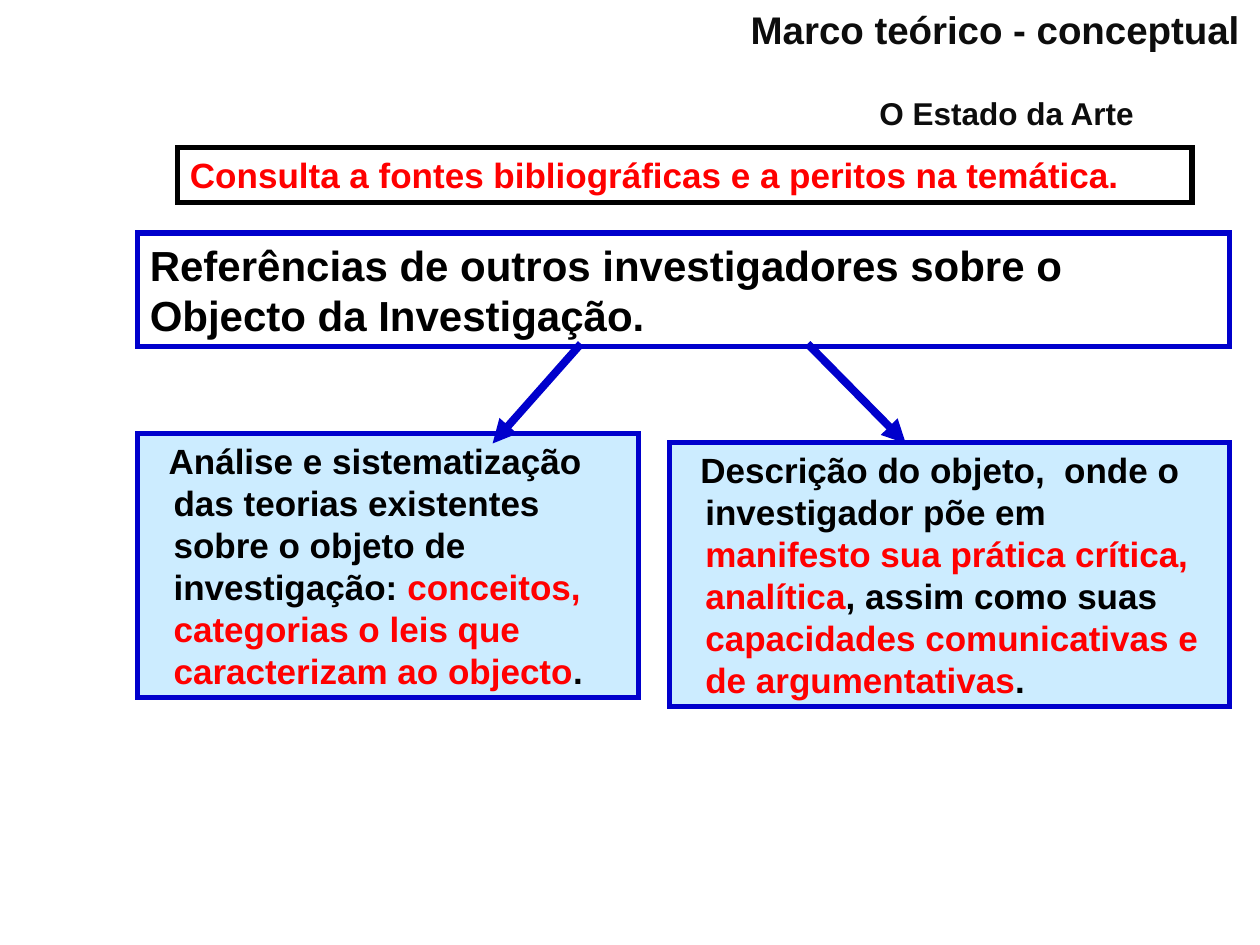
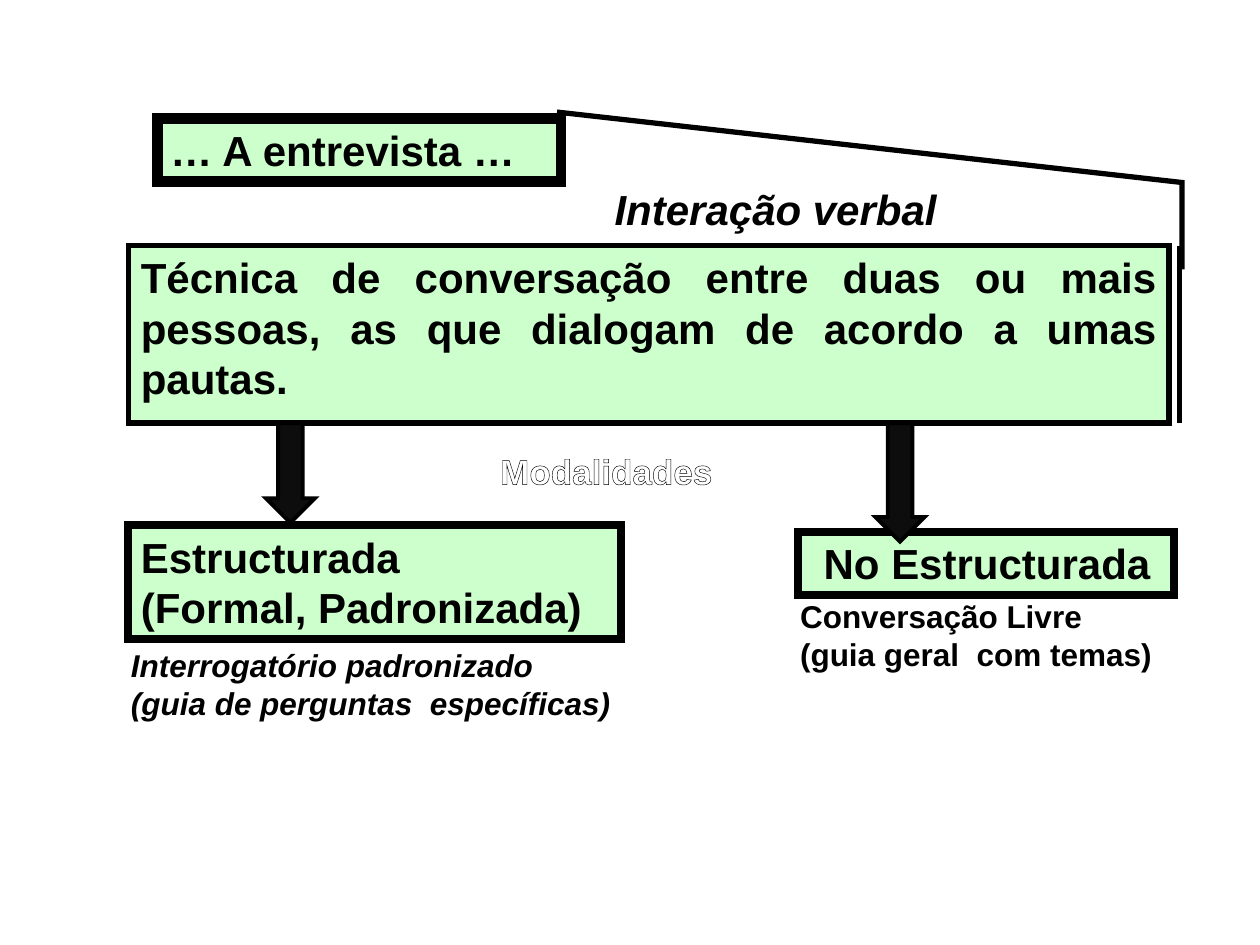
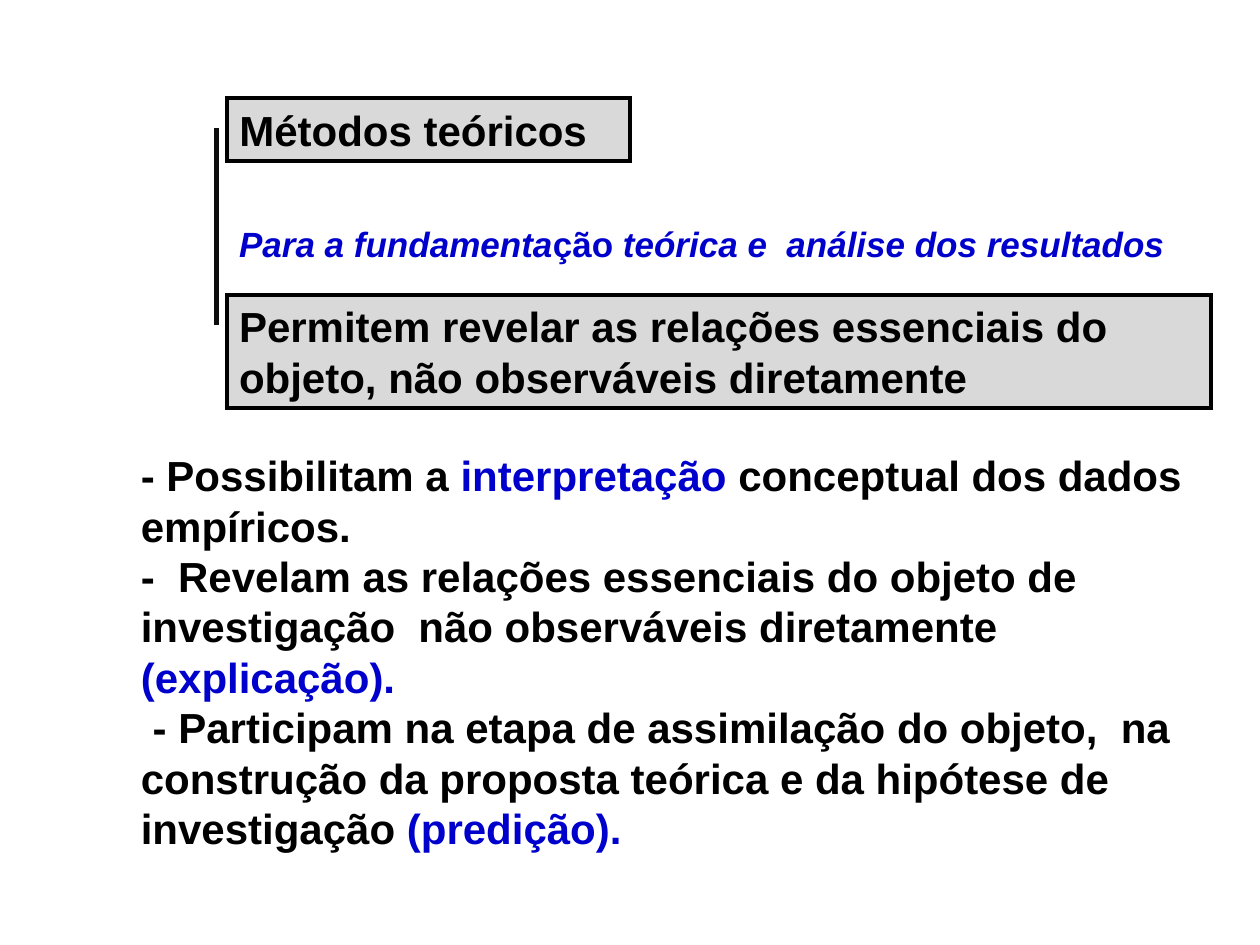
from dataclasses import dataclass
from typing import NamedTuple, Optional, Union

from lxml.etree import SubElement
from pptx import Presentation
from pptx.dml.color import RGBColor
from pptx.enum.shapes import MSO_CONNECTOR as Connector, MSO_SHAPE as Preset
from pptx.enum.text import MSO_ANCHOR as Anchor, MSO_AUTO_SIZE as AutoSize, PP_ALIGN as Align
from pptx.oxml import parse_xml
from pptx.oxml.ns import nsdecls, qn
from pptx.util import Cm, Pt

FONT = "Arial"
BLACK, INK, WHITE, RED, BLUE = "000000", "0D0D0D", "FFFFFF", "FF0000", "0000CC"
SKY, MINT, GREY = "CCECFF", "CCFFCC", "D9D9D9"
TITLE_ONLY = 5


class Frame(NamedTuple):
    """Left, top, width and height in centimetres."""
    left: float
    top: float
    width: float
    height: float


class Span(NamedTuple):
    text: str
    color: Optional[str] = None
    italic: Optional[bool] = None


@dataclass
class Para:
    spans: list[Span]
    margin: float = 0
    indent: float = 0


class Border(NamedTuple):
    color: str
    width: float


Content = Union[str, list[Para]]


def rgb(color: str) -> RGBColor:
    return RGBColor.from_string(color)


def plain(*lines: str) -> list[Para]:
    return [Para([Span(line)]) for line in lines]


def write_text(shape, content: Content, *, size: float = 24, color: str = BLACK,
               italic: bool = False, align: Align = Align.LEFT, wrap: bool = True,
               grow: bool = True, right_inset: float = 0.25, outline: str = "") -> None:
    """Fill a shape with bold text; spans may override colour and italics."""
    frame = shape.text_frame
    frame.word_wrap = wrap
    frame.auto_size = AutoSize.SHAPE_TO_FIT_TEXT if grow else AutoSize.NONE
    frame.vertical_anchor = Anchor.TOP
    frame.margin_right = Cm(right_inset)
    paras = plain(content) if isinstance(content, str) else content
    for number, item in enumerate(paras):
        para = frame.add_paragraph() if number else frame.paragraphs[0]
        para.alignment = align
        if item.margin or item.indent:
            properties = para._p.get_or_add_pPr()
            properties.set("marL", str(Cm(item.margin)))
            properties.set("indent", str(Cm(item.indent)))
        for piece in item.spans:
            span = para.add_run()
            span.text = piece.text
            font = span.font
            font.name, font.size, font.bold = FONT, Pt(size), True
            font.italic = italic if piece.italic is None else piece.italic
            font.color.rgb = rgb(piece.color or color)
            if outline:
                span._r.get_or_add_rPr().insert(0, parse_xml(
                    f'<a:ln {nsdecls("a")} w="{Pt(0.75)}"><a:solidFill>'
                    f'<a:srgbClr val="{outline}"/></a:solidFill></a:ln>'))


def paint(shape, fill: Optional[str], border: Optional[Border]) -> None:
    """Set the fill and a border with sharp corners."""
    if fill:
        shape.fill.solid()
        shape.fill.fore_color.rgb = rgb(fill)
    else:
        shape.fill.background()
    if border:
        shape.line.color.rgb = rgb(border.color)
        shape.line.width = Pt(border.width)
        SubElement(shape.line._get_or_add_ln(), qn("a:miter"), lim="800000")
    else:
        shape.line.fill.background()


def add_preset(page, preset: Preset, frame: Frame, fill: Optional[str], border: Border):
    shape = page.shapes.add_shape(preset, *map(Cm, frame))
    shape.shadow.inherit = False
    paint(shape, fill, border)
    return shape


def add_box(page, frame: Frame, content: Content, border: Border,
            fill: Optional[str] = None, **text_format) -> None:
    box = add_preset(page, Preset.RECTANGLE, frame, fill, border)
    write_text(box, content, **text_format)


def add_label(page, frame: Frame, content: Content, **text_format) -> None:
    write_text(page.shapes.add_textbox(*map(Cm, frame)), content, **text_format)


def add_line(page, start: tuple[float, float], end: tuple[float, float],
             border: Border, arrow: bool = False) -> None:
    line = page.shapes.add_connector(Connector.STRAIGHT, *map(Cm, (*start, *end)))
    line.line.color.rgb = rgb(border.color)
    line.line.width = Pt(border.width)
    if arrow:
        SubElement(line.line._get_or_add_ln(), qn("a:tailEnd"), type="triangle")
    SubElement(line._element.spPr, qn("a:effectLst"))


def add_page(deck, frame: Frame, title: str, fill: Optional[str] = None,
             border: Optional[Border] = None, **text_format):
    """Add a slide whose title placeholder takes the given place and look."""
    page = deck.slides.add_slide(deck.slide_layouts[TITLE_ONLY])
    heading = page.shapes.title
    heading.left, heading.top, heading.width, heading.height = map(Cm, frame)
    paint(heading, fill, border)
    write_text(heading, title, grow=False, **text_format)
    return page


def build_framework(deck) -> None:
    page = add_page(deck, Frame(14.88, 0, 10.52, 1.19), "Marco teórico - conceptual",
                    size=22, color=INK)
    edge = Border(BLUE, 3)
    add_box(page, Frame(3.58, 2.97, 20.45, 1.12),
            "Consulta a fontes bibliográficas e a peritos na temática.",
            Border(BLACK, 3), size=20, color=RED)
    add_box(page, Frame(2.77, 4.7, 22.02, 2.29),
            "Referências de outros investigadores sobre o Objecto da Investigação.", edge)
    branches = [
        (Frame(2.77, 8.74, 10.11, 5.33), [
            Span("Análise e sistematização das teorias existentes sobre o objeto de investigação: "),
            Span("conceitos, categorias o leis que caracterizam ao objecto", RED),
            Span(".")]),
        (Frame(13.49, 8.92, 11.3, 5.33), [
            Span("Descrição do objeto,  onde o investigador põe em "),
            Span("manifesto sua prática crítica, analítica", RED),
            Span(", assim como suas "),
            Span("capacidades comunicativas e de argumentativas", RED),
            Span(".")]),
    ]
    for frame, spans in branches:
        add_box(page, frame, [Para(spans, margin=0.48, indent=-0.1)], edge, SKY, size=20)
    for start_x, end_x in ((11.71, 9.93), (16.28, 18.26)):
        add_line(page, (start_x, 6.93), (end_x, 8.94), Border(BLUE, 4.5), arrow=True)
    add_label(page, Frame(17.48, 1.78, 5.66, 1.02), "O Estado da Arte",
              size=18, color=INK, wrap=False)


def build_interview(deck) -> None:
    page = add_page(deck, Frame(3.18, 2.39, 8.13, 1.27), "… A entrevista …",
                    MINT, Border(BLACK, 6), align=Align.JUSTIFY)
    edge, thick = Border(BLACK, 3), Border(BLACK, 4.5)
    add_box(page, Frame(2.59, 4.95, 20.98, 3.58),
            "Técnica de conversação entre duas ou mais pessoas, as que dialogam "
            "de acordo a umas pautas.", edge, MINT, align=Align.JUSTIFY, grow=False)

    callout_points = [(Cm(x), Cm(y)) for x, y in
                      ((23.77, 5.38), (23.83, 5.38), (23.83, 3.68), (11.23, 2.26))]
    builder = page.shapes.build_freeform(*callout_points[0])
    builder.add_line_segments(callout_points[1:], close=False)
    callout = builder.convert_to_shape()
    callout.shadow.inherit = False
    paint(callout, None, edge)
    add_line(page, (23.77, 4.95), (23.77, 8.53), edge)

    add_box(page, Frame(2.59, 10.59, 9.93, 2.29),
            plain("Estructurada", "(Formal, Padronizada)"), thick, MINT)
    add_box(page, Frame(16.08, 10.72, 7.59, 1.27), "No Estructurada", thick, MINT,
            align=Align.RIGHT, right_inset=0.48)
    for left, height in ((5.36, 2.01), (17.65, 2.39)):
        add_preset(page, Preset.DOWN_ARROW, Frame(left, 8.53, 0.99, height),
                   INK, Border(BLACK, 2.25))
    add_label(page, Frame(6.93, 8.94, 10.59, 0.79), "Modalidades", size=20,
              color=WHITE, align=Align.CENTER, grow=False, outline=BLACK)
    add_label(page, Frame(2.39, 12.9, 11.13, 1.78),
              plain("Interrogatório padronizado", "(guia de perguntas  específicas)"),
              size=18, italic=True)
    add_label(page, Frame(15.88, 11.91, 8.13, 1.78),
              plain("Conversação Livre", "(guia geral  com temas)"), size=18)
    add_label(page, Frame(12.14, 3.58, 7.3, 1.27), "Interação verbal", italic=True)


def build_methods(deck) -> None:
    edge = Border(BLACK, 2.25)
    page = add_page(deck, Frame(4.57, 1.98, 8.13, 1.27), "Métodos teóricos", GREY, edge)
    add_box(page, Frame(4.57, 5.94, 19.84, 2.29),
            "Permitem revelar as relações essenciais do objeto, não observáveis diretamente",
            edge, GREY)
    add_line(page, (4.37, 2.59), (4.37, 6.55), Border(INK, 3))
    purpose = [Span("Para a fundamenta"), Span("ção", italic=False),
               Span(" teórica e  análise dos resultados")]
    add_label(page, Frame(4.57, 4.37, 20.04, 1.12), [Para(purpose)],
              size=20, color=BLUE, italic=True)
    functions = [
        Para([Span("- Possibilitam a "), Span("interpretação", BLUE),
              Span(" conceptual dos dados empíricos.")]),
        Para([Span("-  Revelam as relações essenciais do objeto de investigação  "
                   "não observáveis diretamente "), Span("(explicação).", BLUE)]),
        Para([Span("- Participam na etapa de assimilação do objeto,  na construção da "
                   "proposta teórica e da hipótese de investigação "),
              Span("(predição).", BLUE)], indent=0.24),
    ]
    add_label(page, Frame(2.59, 8.94, 22.23, 8.38), functions)


def main() -> None:
    deck = Presentation()
    deck.slide_width, deck.slide_height = Cm(25.4), Cm(19.05)
    for build in (build_framework, build_interview, build_methods):
        build(deck)
    deck.save("out.pptx")


if __name__ == "__main__":
    main()
